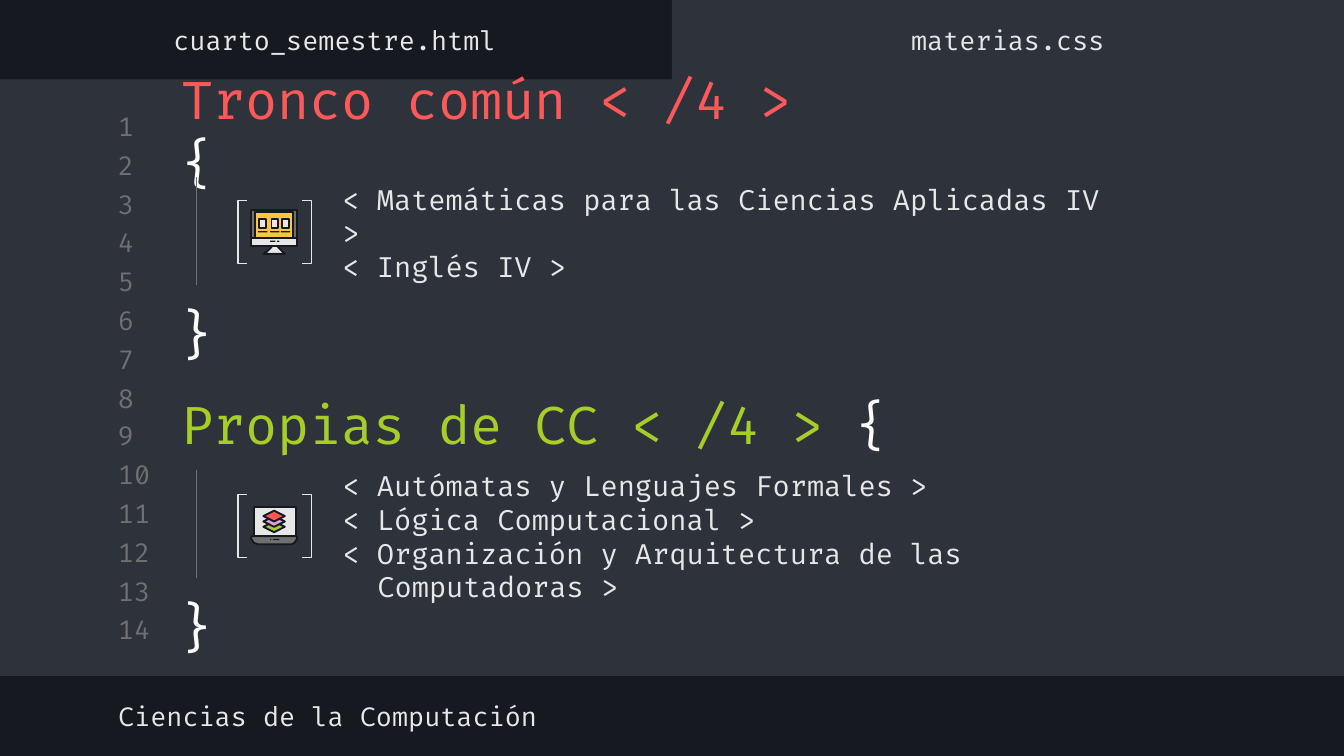
from dataclasses import dataclass

import pptx
import pptx.dml.color
import pptx.enum.shapes
import pptx.enum.text
import pptx.oxml.ns
import pptx.util
from lxml import etree

PX = 9144  # EMU in one px: 100 px to the inch
SHAPE = pptx.enum.shapes.MSO_SHAPE
ANCHOR = pptx.enum.text.MSO_ANCHOR
ALIGN = pptx.enum.text.PP_ALIGN


@dataclass(frozen=True)
class Theme:
    font: str = "Fira Code"
    dark: str = "16191F"
    panel: str = "2E323B"
    gray: str = "707070"
    light: str = "E7E7E7"
    white: str = "FFFFFF"
    red: str = "FF5858"
    green: str = "A5CF27"
    purple: str = "DBA0DB"
    yellow: str = "FCC642"
    title: int = 28
    item: int = 15
    label: int = 14
    thin: float = 0.75
    outline: float = 1


def rgb(color):
    return pptx.dml.color.RGBColor.from_string(color)


class EditorSlide:
    def __init__(self, slide, theme):
        self.s = slide
        self.theme = theme
        fill = slide.background.fill
        fill.solid()
        fill.fore_color.rgb = rgb(theme.dark)

    def paint(self, sp, fill=None, line=None, width=1):
        sp.shadow.inherit = False
        if fill:
            sp.fill.solid()
            sp.fill.fore_color.rgb = rgb(fill)
        else:
            sp.fill.background()
        if line:
            sp.line.color.rgb = rgb(line)
            sp.line.width = pptx.util.Pt(width)
        else:
            sp.line.fill.background()
        return sp

    def shape(self, kind, x, y, w, h, fill=None, line=None, width=1):
        sp = self.s.shapes.add_shape(kind, x * PX, y * PX, w * PX, h * PX)
        return self.paint(sp, fill, line, width)

    def polygon(self, points, fill, line):
        fb = self.s.shapes.build_freeform(*points[0], scale=PX)
        fb.add_line_segments(points[1:], close=True)
        return self.paint(fb.convert_to_shape(), fill, line, self.theme.outline)

    def text(self, x, y, w, h, paragraphs, size, align=ALIGN.LEFT,
             anchor=ANCHOR.MIDDLE, hang=0):
        """Each paragraph is a list of (text, color) runs; hang is a hanging indent."""
        sp = self.s.shapes.add_textbox(x * PX, y * PX, w * PX, h * PX)
        tf = sp.text_frame
        tf.word_wrap = True
        tf.vertical_anchor = anchor
        tf.margin_left = tf.margin_right = tf.margin_top = tf.margin_bottom = 10 * PX
        for i, runs in enumerate(paragraphs):
            p = tf.add_paragraph() if i else tf.paragraphs[0]
            p.alignment = align
            p.font.name = self.theme.font
            p.font.size = pptx.util.Pt(size)
            if hang:
                pPr = p._p.get_or_add_pPr()
                pPr.set("marL", str(hang * PX))
                pPr.set("indent", str(-hang * PX))
            for words, color in runs:
                r = p.add_run()
                r.text = words
                r.font.color.rgb = rgb(color)

    def vertical_line(self, x, top, bottom):
        line = self.s.shapes.add_connector(
            pptx.enum.shapes.MSO_CONNECTOR.STRAIGHT, x * PX, top * PX, x * PX, bottom * PX)
        line.line.color.rgb = rgb(self.theme.gray)
        line.line.width = pptx.util.Pt(self.theme.thin)
        etree.SubElement(line._element.spPr, pptx.oxml.ns.qn("a:effectLst"))

    def label(self, x, y, w, h, words, color, align=ALIGN.LEFT):
        self.text(x, y, w, h, [[(words, color)]], self.theme.label, align)

    def heading(self, x, y, w, h, words, color):
        self.text(x, y, w, h, [[(words + " ", color), ("{", self.theme.white)]],
                  self.theme.title)

    def items(self, x, y, w, h, lines, hang=0):
        self.text(x, y, w, h, [[(line, self.theme.light)] for line in lines],
                  self.theme.item, hang=hang)

    def code_block(self, line_top, bracket_top):
        """Indent guide, closing brace and the square brackets around an icon."""
        t = self.theme
        self.vertical_line(146, line_top, line_top + 80)
        self.text(119, line_top + 82, 55, 67, [[("}", t.white)]], t.title,
                  ALIGN.CENTER, ANCHOR.TOP)
        for kind, x in ((SHAPE.LEFT_BRACKET, 177), (SHAPE.RIGHT_BRACKET, 225)):
            sp = self.shape(kind, x, bracket_top, 7, 47, line=t.light, width=t.thin)
            sp.adjustments[0] = 0

    def monitor_icon(self):
        t = self.theme
        self.polygon([(202, 183), (202, 184), (199, 187), (196, 189), (212, 189),
                      (210, 187), (207, 184), (207, 183)], t.light, t.dark)
        self.shape(SHAPE.RECTANGLE, 187, 156, 34, 21, t.gray, t.dark, t.outline)
        self.shape(SHAPE.RECTANGLE, 190, 158, 28, 19, t.yellow, t.dark, t.outline)
        self.shape(SHAPE.RECTANGLE, 187, 177, 34, 6, t.light, t.dark, t.outline)
        for x in (193, 202, 210):
            self.shape(SHAPE.RECTANGLE, x, 163, 5, 7, t.light, t.dark, t.outline)
            self.shape(SHAPE.RECTANGLE, x - 1, 172, 7, 1, t.dark)
        self.shape(SHAPE.RECTANGLE, 201, 179, 4, 1, t.dark)
        self.shape(SHAPE.OVAL, 206, 179, 2, 1, t.dark)

    def laptop_icon(self):
        t = self.theme
        self.shape(SHAPE.RECTANGLE, 189, 377, 31, 22, t.light, t.dark, t.outline)
        self.polygon([(187, 399), (187, 401), (189, 404), (192, 405), (217, 405),
                      (219, 404), (221, 401), (221, 399)], t.gray, t.dark)
        for i, color in enumerate((t.green, t.purple, t.red)):
            self.shape(SHAPE.DIAMOND, 196, 388 - 4 * i, 16, 8, color, t.dark, t.outline)
        self.shape(SHAPE.OVAL, 201, 401, 1, 1, t.dark)
        self.shape(SHAPE.RECTANGLE, 203, 401, 5, 1, t.dark)


def main():
    prs = pptx.Presentation()
    prs.slide_width = 1000 * PX
    prs.slide_height = pptx.util.Inches(5.625)
    t = Theme()
    s = EditorSlide(prs.slides.add_slide(prs.slide_layouts[6]), t)

    s.shape(SHAPE.RECTANGLE, 0, 59, 1000, 444, t.panel)
    s.shape(SHAPE.RECTANGLE, 500, 0, 500, 65, t.panel)
    for i in range(14):
        s.label(78, 82 + round(28.8 * i), 47, 24, str(i + 1), t.gray)

    s.items(245, 130, 603, 86, ["< Matemáticas para las Ciencias Aplicadas IV >",
                                "< Inglés IV >"])
    s.items(245, 356, 562, 86, ["< Autómatas y Lenguajes Formales >",
                                "< Lógica Computacional >",
                                "< Organización y Arquitectura de las Computadoras >"],
            hang=26)
    s.heading(125, 286, 580, 58, "Propias de CC < /4 >", t.green)
    s.heading(125, 68, 512, 58, "Tronco común < /4 >", t.red)

    s.monitor_icon()
    s.laptop_icon()
    s.label(78, 513, 532, 39, "Ciencias de la Computación", t.light)
    s.label(-1, 10, 500, 39, "cuarto_semestre.html", t.light, ALIGN.CENTER)
    s.label(500, 10, 500, 39, "materias.css", t.light, ALIGN.CENTER)
    s.code_block(350, 368)
    s.code_block(132, 149)
    prs.save("out.pptx")


if __name__ == "__main__":
    main()
